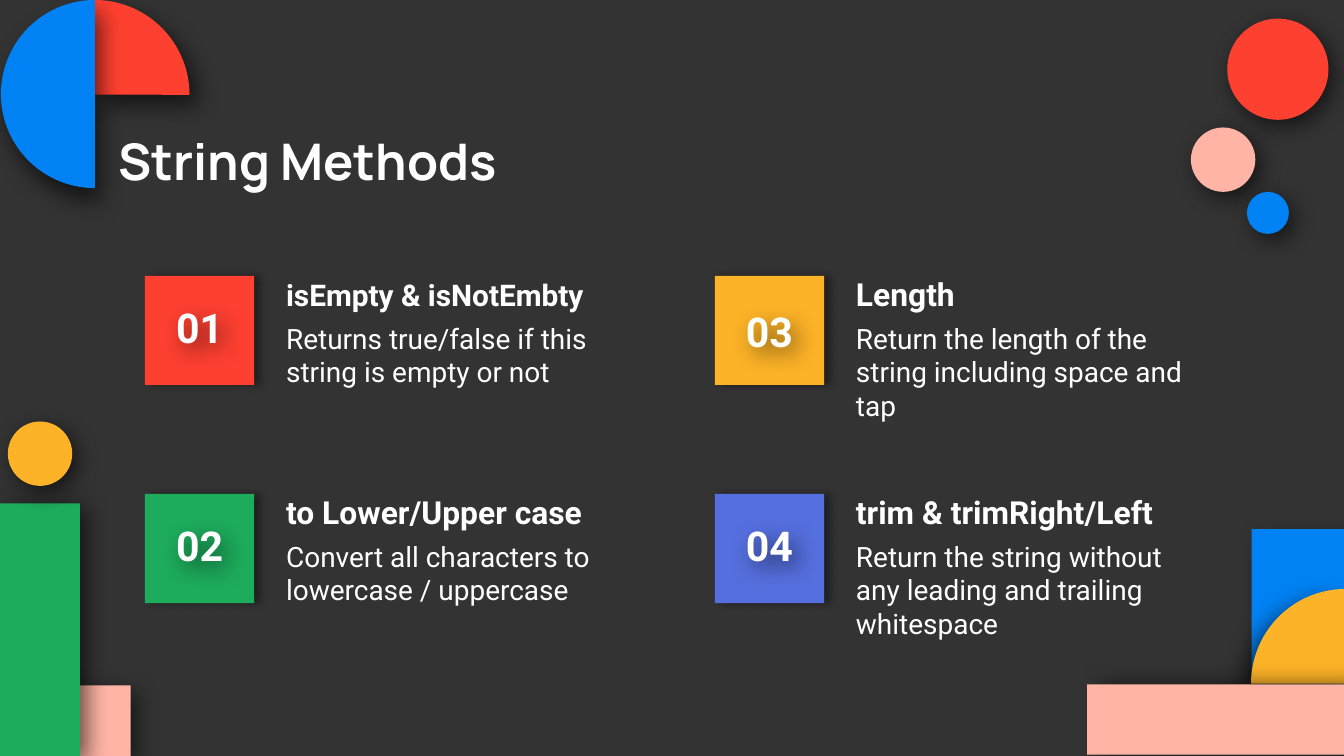
import dataclasses

import lxml.etree
import pptx
import pptx.dml.color
import pptx.enum.shapes
import pptx.enum.text
import pptx.oxml.ns
import pptx.util

Pt = pptx.util.Pt
RGB = pptx.dml.color.RGBColor.from_string
SHAPE = pptx.enum.shapes.MSO_SHAPE
ALIGN = pptx.enum.text.PP_ALIGN
ANCHOR = pptx.enum.text.MSO_ANCHOR
qn = pptx.oxml.ns.qn


@dataclasses.dataclass(frozen=True)
class Theme:
    background: str = "333333"
    text: str = "FFFFFF"
    shadow: str = "000000"
    red: str = "FE4031"
    pink: str = "FFB4A6"
    blue: str = "0082F4"
    green: str = "1DAC5C"
    yellow: str = "FDB327"
    indigo: str = "556FDE"
    heading_font: str = "Manrope"
    body_font: str = "Roboto"
    title_size: float = 27
    number_size: float = 22
    head_size: float = 17
    small_head_size: float = 16
    body_size: float = 15


class Deck:
    def __init__(self, prs, theme):
        self.theme = theme
        self.s = prs.slides.add_slide(prs.slide_layouts[5])
        fill = self.s.background.fill
        fill.solid()
        fill.fore_color.rgb = RGB(theme.background)

    def shadow(self, sp, distance, angle, blur=12.4, alpha=59):
        sp.shadow.inherit = False
        effects = sp.element.spPr.find(qn("a:effectLst"))
        outer = lxml.etree.SubElement(effects, qn("a:outerShdw"))
        values = {
            "blurRad": Pt(blur),
            "dist": Pt(distance),
            "dir": angle * 60000,
            "algn": "bl",
            "rotWithShape": 0,
        }
        for name, value in values.items():
            outer.set(name, str(value))
        color = lxml.etree.SubElement(outer, qn("a:srgbClr"), val=self.theme.shadow)
        lxml.etree.SubElement(color, qn("a:alpha"), val=str(alpha * 1000))

    def shape(self, kind, box, color, distance, angle, **shadow):
        sp = self.s.shapes.add_shape(kind, *map(Pt, box))
        sp.fill.solid()
        sp.fill.fore_color.rgb = RGB(color)
        sp.line.fill.background()
        self.shadow(sp, distance, angle, **shadow)
        return sp

    def circle(self, left, top, size, color):
        self.shape(SHAPE.OVAL, (left, top, size, size), color, 4.5, 50)

    def pie(self, left, top, size, color, start, end, angle):
        sp = self.shape(SHAPE.PIE, (left, top, size, size), color, 7.5, angle)
        for i, degrees in enumerate((start, end)):
            sp.adjustments[i] = degrees * 0.6

    def fill_text(self, sp, text, size, font, bold=False, align=ALIGN.LEFT,
                  anchor=ANCHOR.TOP, after=0):
        tf = sp.text_frame
        frame = dict.fromkeys(
            ("margin_left", "margin_top", "margin_right", "margin_bottom"), Pt(7.2))
        frame.update(word_wrap=True, vertical_anchor=anchor,
                     auto_size=pptx.enum.text.MSO_AUTO_SIZE.NONE)
        p = tf.paragraphs[0]
        r = p.add_run()
        r.text = text
        formats = (
            (tf, frame),
            (p, {"alignment": align, "space_before": Pt(0), "space_after": Pt(after)}),
            (r.font, {"name": font, "size": Pt(size), "bold": bold}),
        )
        for target, values in formats:
            for name, value in values.items():
                setattr(target, name, value)
        r.font.color.rgb = RGB(self.theme.text)

    def title(self, text, box):
        sp = self.s.shapes.title
        for name, value in zip(("left", "top", "width", "height"), box):
            setattr(sp, name, Pt(value))
        self.fill_text(sp, text, self.theme.title_size, self.theme.heading_font,
                       bold=True)

    def text(self, text, box, size, **style):
        sp = self.s.shapes.add_textbox(*map(Pt, box))
        self.fill_text(sp, text, size, self.theme.body_font, **style)
        return sp

    def card(self, left, top, number, number_height, color, head, head_size, body):
        t = self.theme
        self.shape(SHAPE.RECTANGLE, (left, top, 58.5, 58.5), color, 3, 0,
                   blur=4.5, alpha=40)
        sp = self.text(number, (left, top + 0.5, 58.5, number_height), t.number_size,
                       bold=True, align=ALIGN.CENTER, anchor=ANCHOR.MIDDLE)
        self.shadow(sp, 4.5, 50)
        self.text(body, (left + 68.5, top + 17, 191, 62.5), t.body_size, after=16)
        self.text(head, (left + 68.5, top - 5, 191, 29.5), head_size,
                  bold=True, anchor=ANCHOR.MIDDLE)


def main():
    prs = pptx.Presentation()
    prs.slide_width, prs.slide_height = Pt(720), Pt(405)
    t = Theme()
    deck = Deck(prs, t)

    deck.shape(SHAPE.RECTANGLE, (28, 367.2, 42, 38), t.pink, 4.5, 50)
    deck.shape(SHAPE.RECTANGLE, (0, 269.7, 42.8, 135.3), t.green, 4.5, 33)
    for circle in (
        (4.2, 225.8, 34.5, t.yellow),
        (638, 68.3, 34.5, t.pink),
        (657.5, 10, 54.2, t.red),
        (668, 102.8, 22.5, t.blue),
    ):
        deck.circle(*circle)

    deck.pie(0, 0, 101.5, t.red, 270, 0, 50)
    deck.shape(SHAPE.RECTANGLE, (670.6, 283.5, 50.4, 82.8), t.blue, 7.5, 50)
    deck.pie(670.2, 315.5, 101.5, t.yellow, 180, 270, 134)
    deck.pie(0.5, 0, 100.8, t.blue, 90, 270, 68)
    deck.shape(SHAPE.RECTANGLE, (582.4, 366.6, 138, 37.7), t.pink, 7.5, 0)

    deck.title("String Methods", (56.2, 62.6, 607.7, 45.4))
    cards = (
        ("01", 54, t.red, "isEmpty & isNotEmbty", t.small_head_size,
         "Returns true/false if this string is empty or not"),
        ("02", 54, t.green, "to Lower/Upper case", t.head_size,
         "Convert all characters to lowercase / uppercase"),
        ("03", 58.5, t.yellow, "Length", t.head_size,
         "Return the length of the string including space and tap"),
        ("04", 54, t.indigo, "trim & trimRight/Left", t.head_size,
         "Return the string without any leading and trailing whitespace"),
    )
    for i, card in enumerate(cards):
        column, row = divmod(i, 2)
        deck.card(77.7 + 305.3 * column, 147.8 + 116.8 * row, *card)

    prs.save("out.pptx")


if __name__ == "__main__":
    main()
